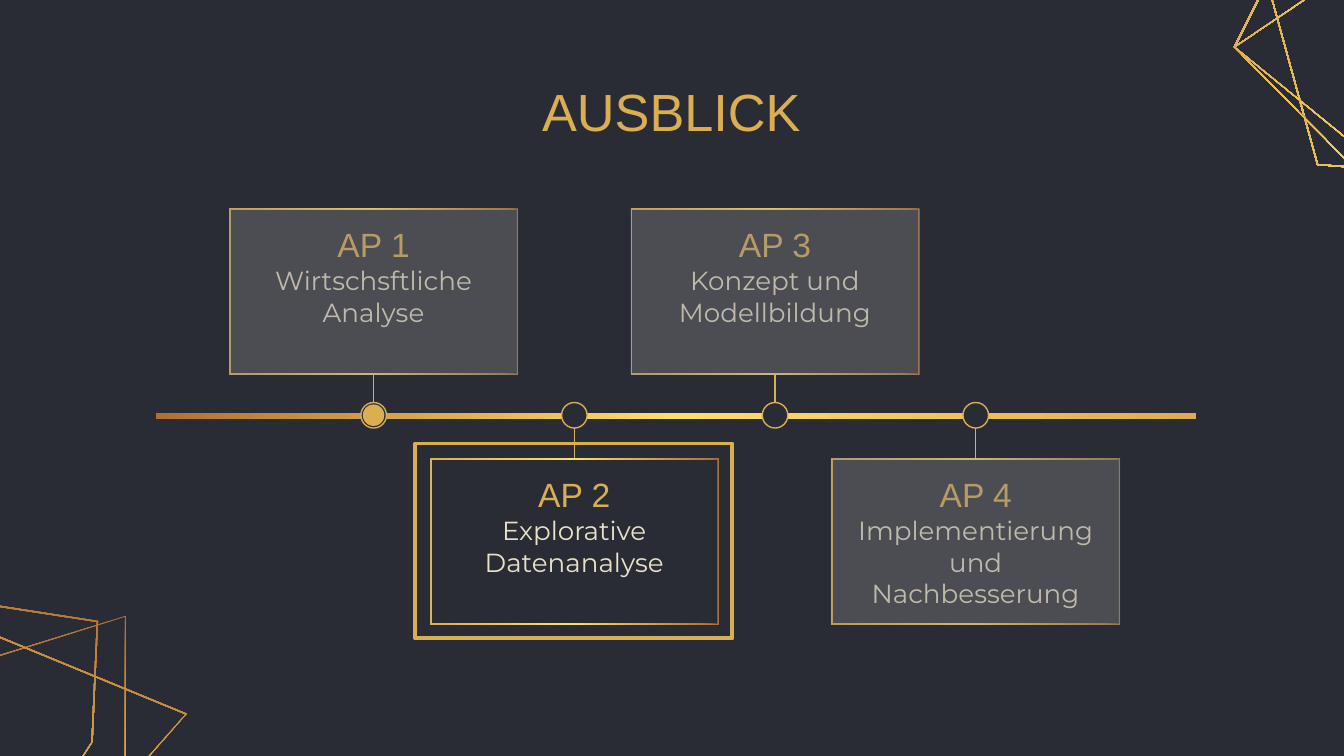
from lxml import etree
from pptx import Presentation
from pptx.dml.color import RGBColor
from pptx.enum.shapes import MSO_CONNECTOR as Connector, MSO_SHAPE as Shape
from pptx.enum.text import MSO_ANCHOR as Anchor, PP_ALIGN as Align
from pptx.oxml import parse_xml
from pptx.oxml.ns import nsdecls, qn
from pptx.util import Inches, Pt

BACKGROUND, GOLD, CREAM, GRAY = "292C35", "DCAE52", "E9E2C9", "808080"
GRADIENT = [(0, "AF7132"), (50, "FFDD6B"), (100, GOLD)]

TITLE = {"size": 28, "name": "Arial", "color": GOLD}
HEADING = {"size": 18, "name": "Arial", "color": GOLD}
BODY = {"size": 14, "name": "Montserrat", "color": CREAM}

# Corner polygons with the direction of their gradient
CORNER_POLYGONS = [
    (90, [(-1.53, 8.99), (-3.26, 5.89), (0.94, 4.58), (0.94, 6.43)]),
    (175.2, [(9.34, -0.44), (10.42, -0.97), (11.77, 0.22), (12.09, 1.11),
             (11.56, 1.36), (9.8, 1.23)]),
    (175.2, [(9.18, 0.35), (9.58, -0.45), (12.01, 0.21), (12.17, 1.71),
             (10.04, 1.22)]),
    (175.2, [(9.18, 0.35), (11.09, -0.94), (12.17, 1.71), (10.97, 1.81)]),
    (113.8, [(-3.35, 7.18), (-3.27, 5.33), (-0.69, 4.4), (0.73, 4.62),
             (0.69, 5.52), (-0.78, 7.78)]),
    (113.8, [(-2.61, 8.32), (-3.38, 7.21), (-0.72, 4.44), (1.39, 5.31),
             (-0.81, 7.81)]),
]

PACKAGES = [
    ("AP 1", ["Wirtschsftliche", "Analyse"]),
    ("AP 2", ["Explorative", "Datenanalyse"]),
    ("AP 3", ["Konzept und", "Modellbildung"]),
    ("AP 4", ["Implementierung und", "Nachbesserung"]),
]
CURRENT = 1
FIRST_CENTER, LAST_CENTER = 2.78, 7.26
STEP = (LAST_CENTER - FIRST_CENTER) / (len(PACKAGES) - 1)
CARD_WIDTH, CARD_HEIGHT = 2.15, 1.24
TEXT_WIDTH = 2.17
UPPER_TOP, LOWER_TOP = 1.55, 3.41
AXIS, DOT = 3.09, 0.19


def color(value):
    return RGBColor.from_string(value)


class Deck:
    def __init__(self):
        self.presentation = Presentation()
        self.presentation.slide_width = Inches(10)
        self.presentation.slide_height = Inches(10) * 9 // 16
        self.slide = self.presentation.slides.add_slide(
            self.presentation.slide_layouts[6])
        fill = self.slide.background.fill
        fill.solid()
        fill.fore_color.rgb = color(BACKGROUND)

    def gradient(self, shape, angle):
        """Fill with the gold gradient; the angle runs clockwise."""
        shape.shadow.inherit = False
        shape.line.fill.background()
        stops = "".join(
            f'<a:gs pos="{position * 1000}"><a:srgbClr val="{value}"/></a:gs>'
            for position, value in GRADIENT)
        shape.fill.background()
        empty = shape._element.spPr.find(qn("a:noFill"))
        empty.getparent().replace(empty, parse_xml(
            f'<a:gradFill {nsdecls("a")} rotWithShape="1"><a:gsLst>{stops}</a:gsLst>'
            f'<a:lin ang="{round(angle * 60000)}" scaled="0"/></a:gradFill>'))

    def ring(self, points, angle, thickness=0.01):
        """Draw a thin band between a polygon and its copy scaled inwards."""
        spans = [(min(axis), max(axis)) for axis in zip(*points)]
        inner = [
            tuple((low + high) / 2 + (value - (low + high) / 2)
                  * (1 - 2 * thickness / (high - low))
                  for value, (low, high) in zip(point, spans))
            for point in points]
        outer, inner = ([(Inches(x), Inches(y)) for x, y in outline]
                        for outline in (points, inner))
        builder = self.slide.shapes.build_freeform(*outer[0], scale=1.0)
        builder.add_line_segments(outer[1:], close=True)
        builder.move_to(*inner[0])
        builder.add_line_segments(inner[1:], close=True)
        self.gradient(builder.convert_to_shape(), angle)

    def frame(self, left, top):
        right, bottom = left + CARD_WIDTH, top + CARD_HEIGHT
        self.ring([(left, bottom), (left, top), (right, top), (right, bottom)], 180)

    def shape(self, kind, left, top, width, height, fill=None, line=None,
              weight=0.75, alpha=None):
        shape = self.slide.shapes.add_shape(
            kind, Inches(left), Inches(top), Inches(width), Inches(height))
        shape.shadow.inherit = False
        if fill:
            shape.fill.solid()
            shape.fill.fore_color.rgb = color(fill)
        else:
            shape.fill.background()
        if alpha:
            value = shape._element.spPr.find(qn("a:solidFill")).find(qn("a:srgbClr"))
            etree.SubElement(value, qn("a:alpha")).set("val", str(alpha * 1000))
        if line:
            shape.line.color.rgb = color(line)
            shape.line.width = Pt(weight)
        else:
            shape.line.fill.background()
        return shape

    def dot(self, center, size, **style):
        self.shape(Shape.OVAL, center - size / 2, AXIS - size / 2, size, size, **style)

    def connector(self, x, start, end):
        connector = self.slide.shapes.add_connector(
            Connector.STRAIGHT, Inches(x), Inches(start), Inches(x), Inches(end))
        connector.line.color.rgb = color(GOLD)
        connector.line.width = Pt(0.75)
        etree.SubElement(connector._element.spPr, qn("a:effectLst"))
        return connector

    def text(self, lines, left, top, width, height, style, anchor=Anchor.MIDDLE):
        box = self.slide.shapes.add_textbox(
            Inches(left), Inches(top), Inches(width), Inches(height))
        frame = box.text_frame
        settings = {"word_wrap": True, "vertical_anchor": anchor}
        for side in ("left", "right", "top", "bottom"):
            settings[f"margin_{side}"] = Inches(0.1)
        for name, value in settings.items():
            setattr(frame, name, value)
        frame.text = "\n".join(lines)
        font_values = {"size": Pt(style["size"]), "name": style["name"]}
        for paragraph in frame.paragraphs:
            paragraph.alignment = Align.CENTER
            for name, value in font_values.items():
                setattr(paragraph.font, name, value)
            paragraph.font.color.rgb = color(style["color"])


def main():
    deck = Deck()
    for angle, points in CORNER_POLYGONS:
        deck.ring(points, angle)
    deck.text(["AUSBLICK"], 2.18, 0.59, 5.63, 0.47, TITLE)
    deck.gradient(deck.shape(Shape.RECTANGLE, 1.16, 3.07, 7.74, 0.05), 0)

    for index, (heading, lines) in enumerate(PACKAGES):
        upper = index % 2 == 0
        center = FIRST_CENTER + index * STEP
        left, top = center - CARD_WIDTH / 2, UPPER_TOP if upper else LOWER_TOP
        text_left = center - TEXT_WIDTH / 2
        deck.dot(center, DOT, fill=BACKGROUND, line=GOLD)
        deck.frame(left, top)
        deck.text(lines, text_left, top + 0.32, TEXT_WIDTH, 0.95, BODY, Anchor.TOP)
        deck.text([heading], text_left, top + 0.07, TEXT_WIDTH, 0.39, HEADING)
        if upper:
            connector = deck.connector(center, top + CARD_HEIGHT, AXIS - DOT / 2)
        else:
            connector = deck.connector(center, top, AXIS + DOT / 2)
        if index != CURRENT:
            cover = deck.shape(Shape.RECTANGLE, left, top, CARD_WIDTH, CARD_HEIGHT,
                               fill=GRAY, alpha=40)
            connector.begin_connect(cover, 2 if upper else 0)

    deck.dot(FIRST_CENTER, 0.16, fill=GOLD)
    deck.shape(Shape.RECTANGLE, 3.09, 3.3, 2.36, 1.45, line=GOLD, weight=2)
    deck.presentation.save("out.pptx")


if __name__ == "__main__":
    main()
